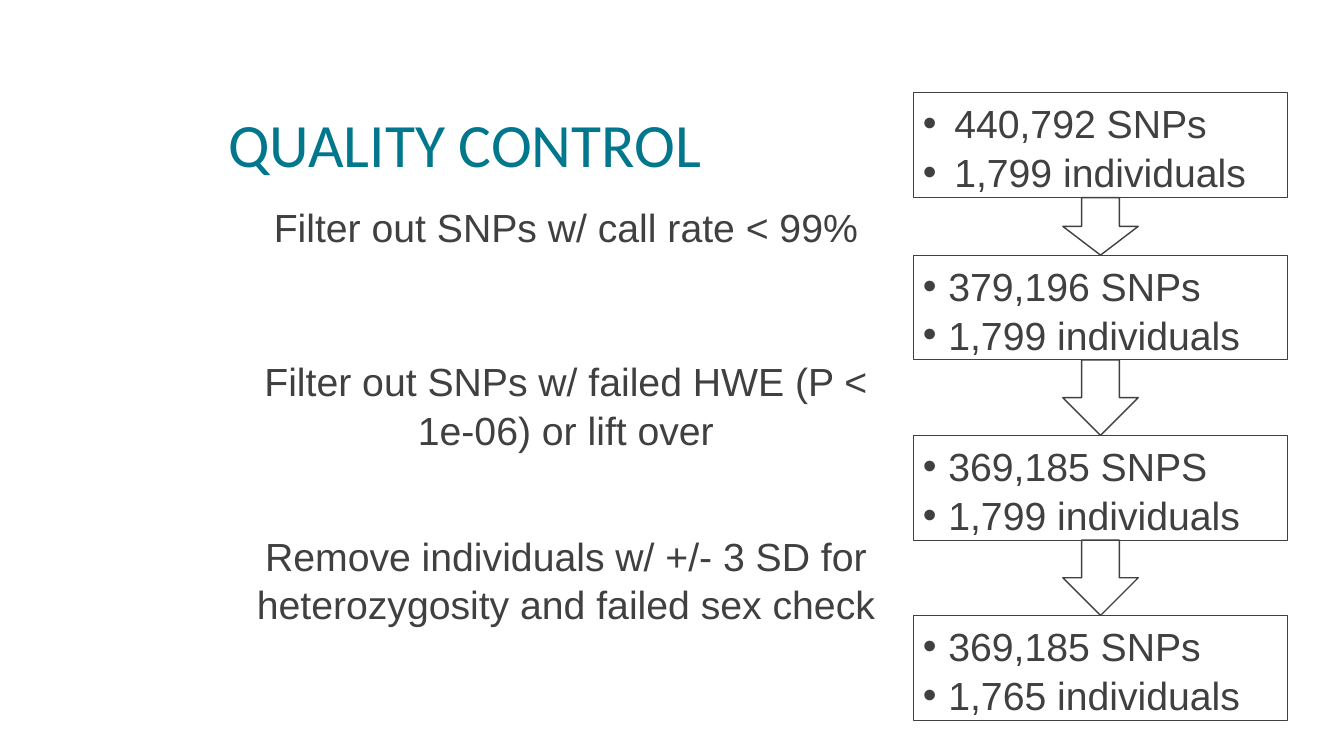
from lxml.etree import SubElement
from pptx import Presentation
from pptx.dml.color import RGBColor
from pptx.enum.shapes import MSO_SHAPE
from pptx.enum.text import MSO_ANCHOR, PP_ALIGN
from pptx.oxml.ns import qn
from pptx.util import Cm, Pt

INK = "404040"
TEAL = "00778D"
BOX_H = 2.64
ARROW_W = 1.9

# Each stage: SNPs, individuals, bullet indent, gap below
STAGES = [
    ("440,792 SNPs", "1,799 individuals", 0.79, 1.45),
    ("379,196 SNPs", "1,799 individuals", 0.64, 1.9),
    ("369,185 SNPS", "1,799 individuals", 0.64, 1.9),
    ("369,185 SNPs", "1,765 individuals", 0.64, 0),
]

# Each filter: top, height, wording
FILTERS = [
    (4.95, 1.45, "Filter out SNPs w/ call rate < 99%"),
    (8.84, BOX_H, "Filter out SNPs w/ failed HWE (P < 1e-06) or lift over"),
    (13.23, BOX_H,
     "Remove individuals w/ +/- 3 SD for heterozygosity and failed sex check"),
]


def color(code):
    return RGBColor.from_string(code)


def style(para, size=28, face="Arial", code=INK, align=PP_ALIGN.LEFT, space=1.04):
    para.alignment = align
    para.line_spacing = space
    para.font.size = Pt(size)
    para.font.name = face
    para.font.color.rgb = color(code)


def bullet(para, indent):
    props = para._p.get_or_add_pPr()
    props.set("marL", str(Cm(indent)))
    props.set("indent", str(-Cm(indent)))
    SubElement(props, qn("a:buFont")).set("typeface", "Arial")
    SubElement(props, qn("a:buChar")).set("char", "•")


def label(slide, left, top, width, height, text, anchor=MSO_ANCHOR.TOP, **look):
    frame = slide.shapes.add_textbox(
        Cm(left), Cm(top), Cm(width), Cm(height)).text_frame
    frame.word_wrap = True
    frame.vertical_anchor = anchor
    frame.text = text
    style(frame.paragraphs[0], **look)


def outline(slide, kind, left, top, width, height, weight):
    shape = slide.shapes.add_shape(kind, Cm(left), Cm(top), Cm(width), Cm(height))
    shape.shadow.inherit = False
    shape.fill.background()
    shape.line.color.rgb = color(INK)
    shape.line.width = Pt(weight)
    return shape


def steps(slide, left, width):
    for top, height, text in FILTERS:
        label(slide, left, top, width, height, text, align=PP_ALIGN.CENTER)


def flow(slide, left, top, width):
    for snps, people, indent, gap in STAGES:
        # Count box
        box = outline(slide, MSO_SHAPE.RECTANGLE, left, top, width, BOX_H, 0.75)
        frame = box.text_frame
        frame.word_wrap = True
        frame.vertical_anchor = MSO_ANCHOR.TOP
        frame.text = f"{snps}\n{people}"
        for para in frame.paragraphs:
            bullet(para, indent)
            style(para)
        # Arrow to the next box
        top += BOX_H
        if gap:
            outline(slide, MSO_SHAPE.DOWN_ARROW, left + (width - ARROW_W) / 2,
                    top, ARROW_W, gap, 1)
        top += gap


def main():
    deck = Presentation()
    deck.slide_width, deck.slide_height = Cm(33.87), Cm(19.05)
    slide = deck.slides.add_slide(deck.slide_layouts[6])
    # Title
    label(slide, 5.51, 1.07, 26.04, 3.6, "QUALITY CONTROL", MSO_ANCHOR.BOTTOM,
          size=44, face="Calibri", code=TEAL, space=0.85)
    # Filter steps and the counts they leave
    steps(slide, 5.51, 17.5)
    flow(slide, 23.01, 2.34, 9.45)
    deck.save("out.pptx")


if __name__ == "__main__":
    main()
